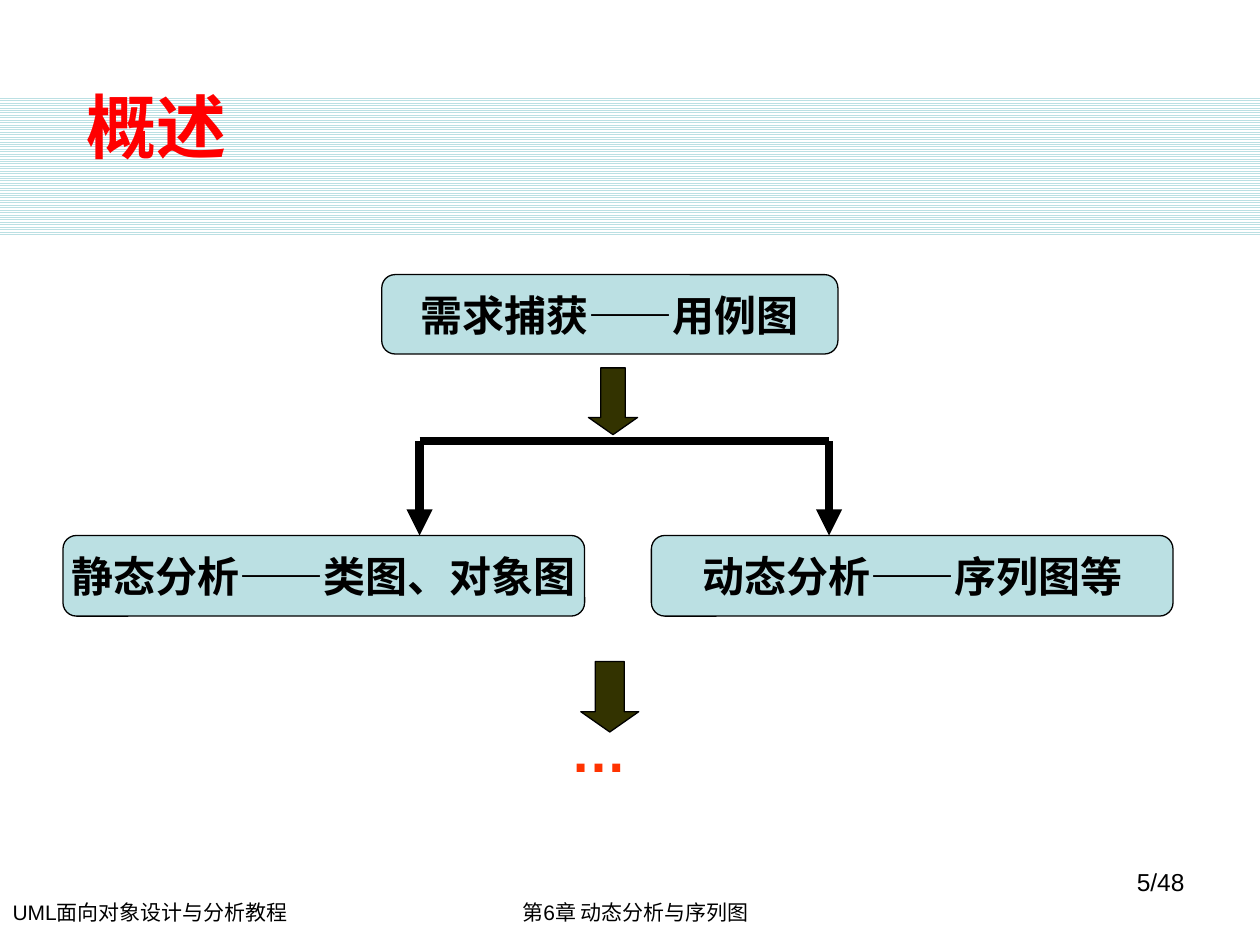
"""Build the overview slide: use cases lead to static and dynamic analysis."""
import pptx
import pptx.util
import pptx.dml.color
import pptx.enum.dml
import pptx.enum.shapes
import pptx.enum.text
import pptx.oxml.ns
from lxml import etree

Inches = pptx.util.Inches
RGBColor = pptx.dml.color.RGBColor
Shape = pptx.enum.shapes.MSO_SHAPE
Align = pptx.enum.text.PP_ALIGN
Anchor = pptx.enum.text.MSO_ANCHOR
qn = pptx.oxml.ns.qn

BLACK = RGBColor(0x00, 0x00, 0x00)
WHITE = RGBColor(0xFF, 0xFF, 0xFF)
RED = RGBColor(0xFF, 0x00, 0x00)
ORANGE = RGBColor(0xFF, 0x33, 0x00)
AQUA = RGBColor(0xBB, 0xE0, 0xE3)
OLIVE = RGBColor(0x33, 0x33, 0x00)


def write(shape, text, size, color=BLACK, bold=False, align=Align.LEFT, face="Arial"):
    para = shape.text_frame.paragraphs[0]
    para.text = text
    para.alignment = align
    para.font.size = pptx.util.Pt(size)
    para.font.name = face
    para.font.bold = bold
    para.font.color.rgb = color


def draw(kind, left, top, width, height, fill):
    shape = slide.shapes.add_shape(
        kind, Inches(left), Inches(top), Inches(width), Inches(height))
    shape.shadow.inherit = False
    shape.fill.solid()
    shape.fill.fore_color.rgb = fill
    shape.line.color.rgb = BLACK
    shape.line.width = pptx.util.Pt(0.75)
    return shape


deck = pptx.Presentation()
deck.slide_width = Inches(10)
deck.slide_height = Inches(7.5)
slide = deck.slides.add_slide(deck.slide_layouts[5])

band = slide.shapes.add_shape(
    Shape.RECTANGLE, 0, Inches(0.76), Inches(10), Inches(1.1))
band.shadow.inherit = False
band.fill.patterned()
band.fill.pattern = pptx.enum.dml.MSO_PATTERN.LIGHT_HORIZONTAL
band.fill.fore_color.rgb = AQUA
band.fill.back_color.rgb = WHITE
band.line.fill.background()
slide.shapes.element.insert(2, band.element)

title = slide.shapes.title
title.left, title.top = Inches(0.59), Inches(0.5)
title.width, title.height = Inches(8.51), Inches(0.88)
title.text_frame.vertical_anchor = Anchor.BOTTOM
write(title, "概述", 40, RED, True)

for text, left, top, width, height, inset, size, color, bold, align in (
    ("UML面向对象设计与分析教程", 0.1, 7.09, 3.39, 0.3, 0, 12, BLACK, False, Align.LEFT),
    ("第6章 动态分析与序列图", 3.35, 7.09, 3.39, 0.3, 0.1, 12, BLACK, False, Align.CENTER),
    ("5/48", 7.17, 6.83, 2.33, 0.5, 0.1, 14, BLACK, False, Align.RIGHT),
    ("…", 4.43, 5.64, 1.65, 0.63, 0.1, 32, ORANGE, True, Align.LEFT),
):
    label = slide.shapes.add_textbox(
        Inches(left), Inches(top), Inches(width), Inches(height))
    label.text_frame.word_wrap = True
    label.text_frame.margin_left = Inches(inset)
    write(label, text, size, color, bold, align)

for text, left, top, width, height in (
    ("需求捕获——用例图", 3.03, 2.18, 3.62, 0.63),
    ("静态分析——类图、对象图", 0.5, 4.25, 4.14, 0.64),
    ("动态分析——序列图等", 5.17, 4.25, 4.14, 0.64),
):
    box = draw(Shape.ROUNDED_RECTANGLE, left, top, width, height, AQUA)
    box.text_frame.word_wrap = False
    box.text_frame.vertical_anchor = Anchor.MIDDLE
    write(box, text, 24, BLACK, True, Align.CENTER, "DejaVu Sans")

for left, top, width, height in ((4.67, 2.92, 0.39, 0.53), (4.61, 5.25, 0.46, 0.56)):
    arrow = draw(Shape.DOWN_ARROW, left, top, width, height, OLIVE)
    arrow.adjustments[1] = 0.35

for start, end, drop in ((3.33, 6.58, 0), (3.33, 3.33, 0.75), (6.58, 6.58, 0.75)):
    branch = slide.shapes.add_connector(
        pptx.enum.shapes.MSO_CONNECTOR.STRAIGHT,
        Inches(start), Inches(3.5), Inches(end), Inches(3.5 + drop))
    branch.line.color.rgb = BLACK
    branch.line.width = pptx.util.Pt(5)
    props = branch.element.spPr
    if drop:
        etree.SubElement(props.find(qn("a:ln")), qn("a:tailEnd"), type="triangle")
    etree.SubElement(props, qn("a:effectLst"))

deck.save("out.pptx")
